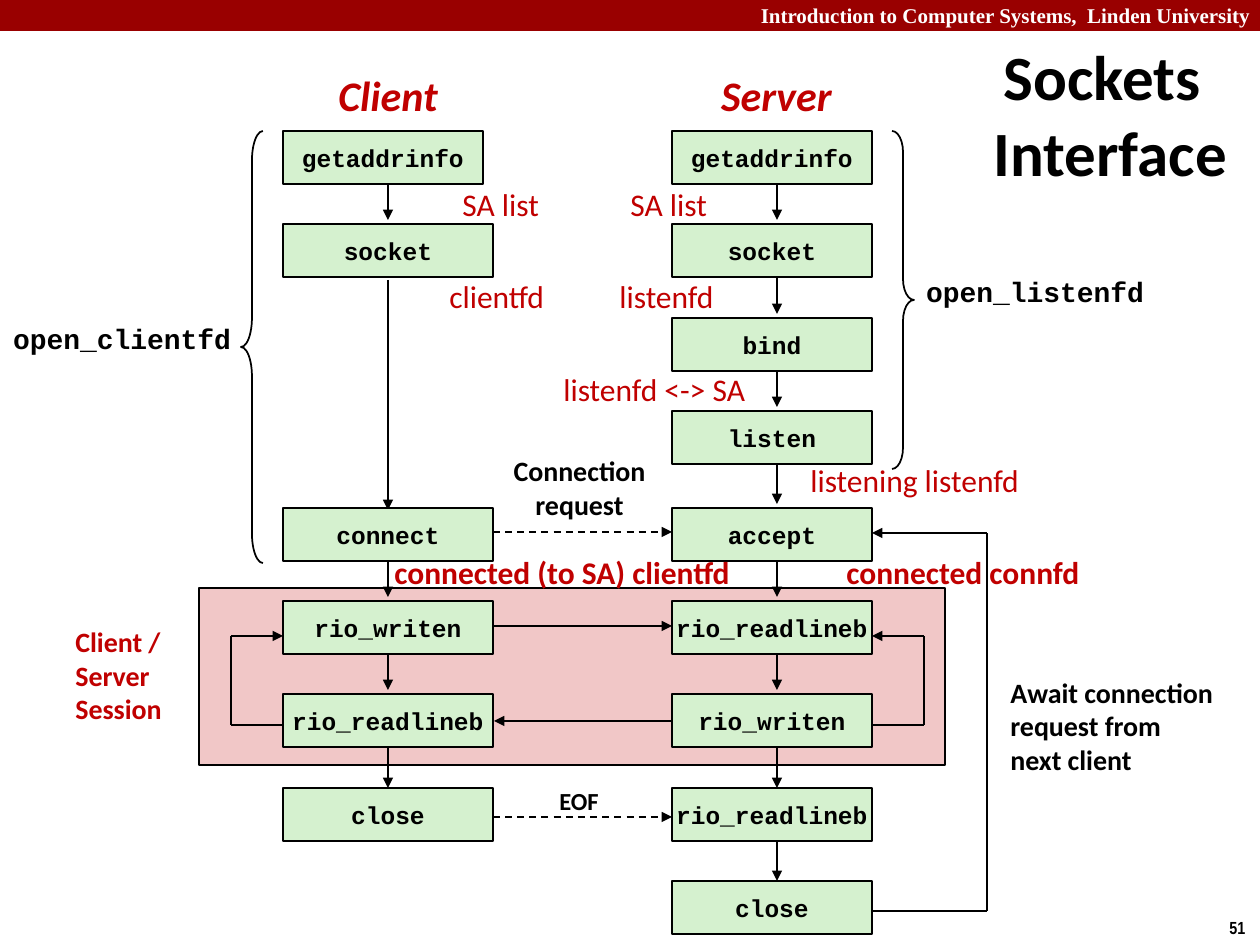
"""Build the sockets interface slide, with client and server call sequences."""
from itertools import pairwise

from lxml import etree
from pptx import Presentation
from pptx import util as u
from pptx.dml.color import RGBColor
from pptx.enum import dml, shapes, text
from pptx.oxml import ns

SCALE = u.Inches(1) / 126
BLACK = RGBColor(0x00, 0x00, 0x00)
WHITE = RGBColor(0xFF, 0xFF, 0xFF)
BANNER = RGBColor(0x99, 0x00, 0x00)
RED = RGBColor(0xC0, 0x00, 0x00)
GREEN = RGBColor(0xD5, 0xF1, 0xCF)
PINK = RGBColor(0xF1, 0xC7, 0xC7)
LEFT, CENTER, RIGHT = text.PP_ALIGN.LEFT, text.PP_ALIGN.CENTER, text.PP_ALIGN.RIGHT
MIDDLE, TOP = text.MSO_ANCHOR.MIDDLE, text.MSO_ANCHOR.TOP
BODY, CODE = "Calibri", "Courier New"
CLIENT_X, SERVER_X = 283, 672
CLIENT_AXIS, SERVER_AXIS = 388, 777
BOX_H = 53
CLIENT = {0: "getaddrinfo", 1: "socket", 4: "connect", 5: "rio_writen",
          6: "rio_readlineb", 7: "close"}
SERVER = ["getaddrinfo", "socket", "bind", "listen", "accept",
          "rio_readlineb", "rio_writen", "rio_readlineb", "close"]


def px(*values):
    """Turn pixel lengths into EMU."""
    return [u.Emu(round(v * SCALE)) for v in values]


def row_top(row):
    """Return the top of a call row; a wider gap precedes row 4."""
    return round(131 + 93.4 * row) + (3 if row >= 4 else 0)


def write(tf, words, size, color=BLACK, font=BODY, bold=True, italic=False,
          align=LEFT, anchor=MIDDLE, wrap=False):
    """Fill a text frame and format all of its runs."""
    tf.text = words
    tf.word_wrap = wrap
    tf.auto_size = text.MSO_AUTO_SIZE.NONE
    tf.vertical_anchor = anchor
    for p in tf.paragraphs:
        p.alignment = align
        for r in p.runs:
            r.font.name, r.font.size = font, u.Pt(size)
            r.font.bold, r.font.italic = bold, italic
            r.font.color.rgb = color


def add_label(s, words, box, size, **style):
    """Add a text box."""
    write(s.shapes.add_textbox(*px(*box)).text_frame, words, size, **style)


def add_outline(s, kind, box, fill=None, line=BLACK):
    """Add a preset shape with an optional fill and line."""
    sp = s.shapes.add_shape(kind, *px(*box))
    sp.shadow.inherit = False
    if fill is None:
        sp.fill.background()
    else:
        sp.fill.solid()
        sp.fill.fore_color.rgb = fill
    if line is None:
        sp.line.fill.background()
    else:
        sp.line.color.rgb = line
        sp.line.width = u.Pt(1)
    return sp


def add_call(s, name, x, row, width):
    """Add a green box that holds a function name."""
    sp = add_outline(s, shapes.MSO_SHAPE.RECTANGLE,
                     (x, row_top(row), width, BOX_H), GREEN)
    write(sp.text_frame, name, 14, font=CODE, align=CENTER)


def add_route(s, *points, dashed=False):
    """Join points with lines and put an arrowhead on the last one."""
    for start, end in pairwise(points):
        sp = s.shapes.add_connector(shapes.MSO_CONNECTOR.STRAIGHT, *px(*start, *end))
        sp.line.color.rgb = BLACK
        sp.line.width = u.Pt(1)
        if dashed:
            sp.line.dash_style = dml.MSO_LINE.DASH
        if end == points[-1]:
            etree.SubElement(sp.line._get_or_add_ln(), ns.qn("a:tailEnd"), type="triangle")
        etree.SubElement(sp._element.spPr, ns.qn("a:effectLst"))


def add_step(s, x, row):
    """Add the arrow from one call down to the next row."""
    gap = 4 if row < 6 else 0
    add_route(s, (x, row_top(row) + BOX_H - 5), (x, row_top(row + 1) - gap))


def add_brace(s, kind, box, curve):
    """Add a brace around a group of calls."""
    sp = add_outline(s, kind, box)
    sp.adjustments[0] = curve
    sp.adjustments[1] = 0.5


def add_title(s):
    """Place the title at the top right with a hanging indent."""
    sp = s.shapes.title
    sp.left, sp.top, sp.width, sp.height = px(955, 31, 294, 165)
    write(sp.text_frame, "Sockets Interface", 36, align=CENTER, wrap=True)
    indent = u.Inches(0.13)
    pPr = sp.text_frame.paragraphs[0]._p.get_or_add_pPr()
    pPr.set("marL", str(indent))
    pPr.set("indent", str(-indent))


def add_arrows(s):
    """Add all arrows of the diagram."""
    for row in (0, 4, 5, 6):
        add_step(s, CLIENT_AXIS, row)
    for row in range(len(SERVER) - 1):
        add_step(s, SERVER_AXIS, row)
    add_route(s, (CLIENT_AXIS, 280), (CLIENT_AXIS, 510))
    for y in (532, 817):
        add_route(s, (420, y), (SERVER_X, y), dashed=True)
    add_route(s, (494, 626), (SERVER_X, 626))
    add_route(s, (SERVER_X, 721), (494, 721))
    add_route(s, (CLIENT_X, 725), (231, 725), (231, 636), (CLIENT_X, 636))
    add_route(s, (872, 725), (924, 725), (924, 636), (872, 636))
    add_route(s, (872, 911), (987, 911), (987, 533), (872, 533))


def add_labels(s):
    """Add the headings, notes and descriptor states."""
    for words, box in (("Client", (325, 63, 126, 63)), ("Server", (708, 63, 137, 63))):
        add_label(s, words, box, 24, color=RED, italic=True, align=CENTER)
    for words, box in (("open_listenfd", (913, 268, 244, 47)),
                       ("open_clientfd", (0, 315, 244, 47))):
        add_label(s, words, box, 16, font=CODE, align=CENTER)
    add_label(s, "Client / Server\nSession", (63, 622, 116, 106), 16, color=RED, wrap=True)
    add_label(s, "Connection\nrequest", (500, 447, 159, 81), 16, align=CENTER)
    add_label(s, "EOF", (546, 779, 66, 43), 14, align=CENTER)
    add_label(s, "Await connection\nrequest from\nnext client", (998, 668, 231, 115), 16)
    for words, x, y, width, bold in (
            ("listening listenfd", 798, 455, 242, False),
            ("connected connfd", 834, 547, 270, True),
            ("connected (to SA) clientfd", 382, 547, 367, True),
            ("SA list", 450, 179, 102, False),
            ("SA list", 618, 179, 110, False),
            ("clientfd", 437, 271, 125, False),
            ("listenfd", 607, 271, 121, False),
            ("listenfd <-> SA", 551, 364, 209, False)):
        add_label(s, words, (x, y, width, 50), 18, color=RED, bold=bold, anchor=TOP)


def main():
    """Build and save the slide."""
    prs = Presentation()
    prs.slide_width, prs.slide_height = px(1260, 945)
    s = prs.slides.add_slide(prs.slide_layouts[5])
    add_title(s)
    rect = shapes.MSO_SHAPE.RECTANGLE
    add_outline(s, rect, (0, 0, 1260, 31), BANNER, line=None)
    add_label(s, "Introduction to Computer Systems,  Linden University", (514, -4, 749, 38),
              12, color=WHITE, font="Times New Roman", align=RIGHT, anchor=TOP, wrap=True)
    add_label(s, "51", (1217, 911, 43, 34), 10, font="Arial Narrow", anchor=TOP)
    add_outline(s, rect, (199, 588, 746, 177), PINK)
    add_arrows(s)
    for row, name in CLIENT.items():
        add_call(s, name, CLIENT_X, row, 200 if row == 0 else 210)
    for row, name in enumerate(SERVER):
        add_call(s, name, SERVER_X, row, 200)
    add_brace(s, shapes.MSO_SHAPE.RIGHT_BRACE, (892, 131, 22, 338), 0.96)
    add_brace(s, shapes.MSO_SHAPE.LEFT_BRACE, (241, 131, 22, 432), 1.33)
    add_labels(s)
    prs.save("out.pptx")


if __name__ == "__main__":
    main()
